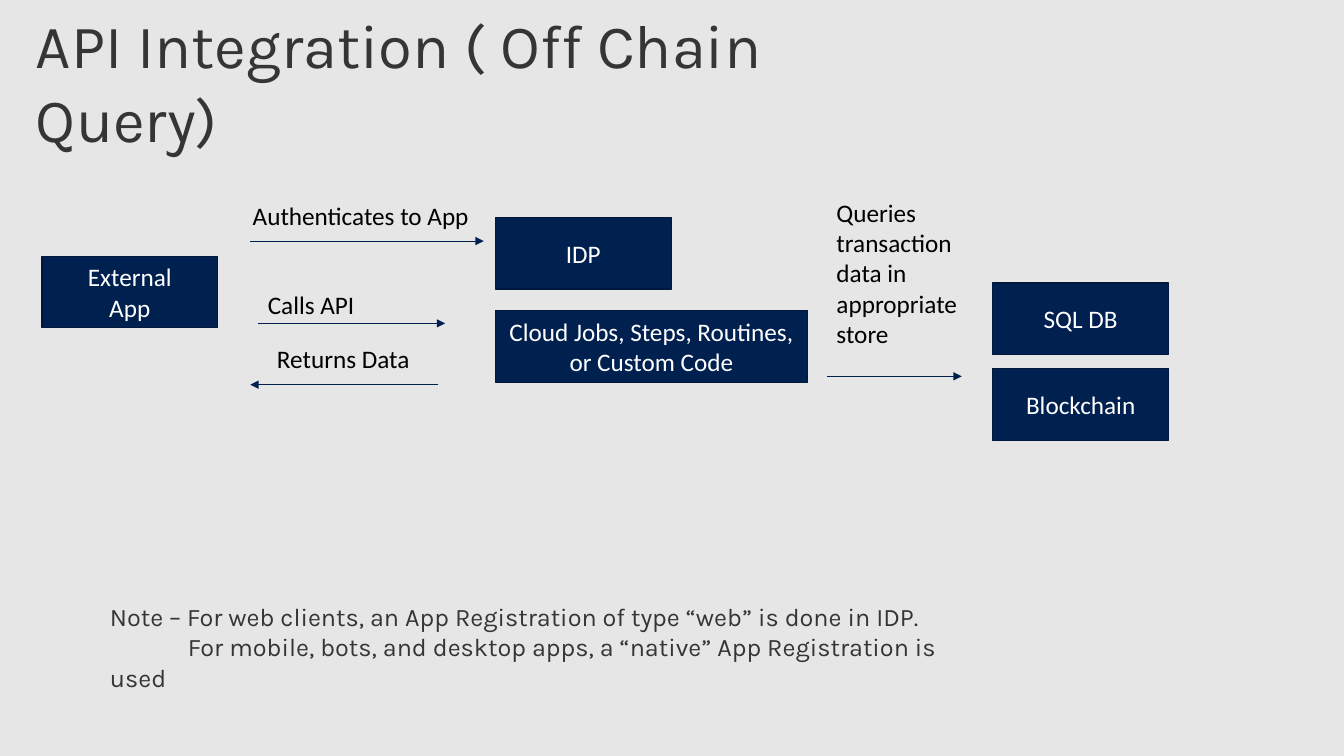
from dataclasses import dataclass

from lxml import etree
from pptx import Presentation
from pptx import util as u
from pptx.dml.color import RGBColor
from pptx.enum import shapes, text
from pptx.oxml import ns

COLUMNS, ROWS = 16, 9
SLIDE_WIDTH, SLIDE_HEIGHT = u.Inches(13.33), u.Inches(7.5)


@dataclass(frozen=True)
class Theme:
    """Colours, fonts and type sizes of the slide."""
    background: str = "E6E6E6"
    navy: str = "002050"
    border: str = "00183B"
    white: str = "FFFFFF"
    black: str = "000000"
    charcoal: str = "353535"
    label_font: str = "Calibri"
    heading_font: str = "Karla"
    body_size: float = 18
    title_size: float = 44
    border_width: float = 0.85
    arrow_width: float = 0.75


THEME = Theme()


def color(code):
    """Turn a hex code into a colour."""
    return RGBColor.from_string(code)


def across(columns):
    """Turn grid columns into a length."""
    return round(SLIDE_WIDTH * columns / COLUMNS)


def down(rows):
    """Turn grid rows into a length."""
    return round(SLIDE_HEIGHT * rows / ROWS)


def place(column, row, width, height):
    """Turn a grid area into left, top, width and height."""
    return across(column), down(row), across(width), down(height)


def write(frame, wording, font, size, code, alignment):
    """Fill a text frame and format every run."""
    frame.word_wrap = True
    frame.text = wording
    for paragraph in frame.paragraphs:
        paragraph.alignment = alignment
        for run in paragraph.runs:
            run.font.name = font
            run.font.size = u.Pt(size)
            run.font.color.rgb = color(code)


def add_box(slide, wording, column, row, width=2.09, height=0.85):
    """Draw a navy system box with centred text."""
    box = slide.shapes.add_shape(
        shapes.MSO_SHAPE.RECTANGLE, *place(column, row, width, height))
    box.shadow.inherit = False
    box.fill.solid()
    box.fill.fore_color.rgb = color(THEME.navy)
    box.line.color.rgb = color(THEME.border)
    box.line.width = u.Pt(THEME.border_width)
    box.text_frame.vertical_anchor = text.MSO_ANCHOR.MIDDLE
    write(box.text_frame, wording, THEME.label_font, THEME.body_size,
          THEME.white, text.PP_ALIGN.CENTER)


def add_text(slide, wording, area, font=THEME.label_font,
             size=THEME.body_size, code=THEME.black):
    """Add left-aligned text that grows with its content."""
    label = slide.shapes.add_textbox(*place(*area))
    write(label.text_frame, wording, font, size, code, text.PP_ALIGN.LEFT)
    label.text_frame.auto_size = text.MSO_AUTO_SIZE.SHAPE_TO_FIT_TEXT
    return label


def add_arrow(slide, start, end, row):
    """Draw a horizontal arrow from one column to another."""
    arrow = slide.shapes.add_connector(
        shapes.MSO_CONNECTOR.STRAIGHT,
        across(start), down(row), across(end), down(row))
    arrow.line.color.rgb = color(THEME.navy)
    arrow.line.width = u.Pt(THEME.arrow_width)
    etree.SubElement(arrow.line._get_or_add_ln(), ns.qn("a:tailEnd"),
                     type="triangle")
    etree.SubElement(arrow._element.spPr, ns.qn("a:effectLst"))


def add_note(slide):
    """Add the registration note with its second paragraph indented."""
    note = add_text(
        slide,
        "Note – For web clients, an App Registration of type “web” is done in IDP.\n"
        "For mobile, bots, and desktop apps, a “native” App Registration is used",
        (1.19, 7.1, 10.5, 0.85), THEME.heading_font, code=THEME.charcoal)
    properties = note.text_frame.paragraphs[1]._p.get_or_add_pPr()
    properties.set("marL", "0")
    properties.set("indent", str(across(0.93)))


def main():
    """Build and save the integration slide."""
    presentation = Presentation()
    presentation.slide_width = SLIDE_WIDTH
    presentation.slide_height = SLIDE_HEIGHT
    slide = presentation.slides.add_slide(presentation.slide_layouts[6])
    slide.background.fill.solid()
    slide.background.fill.fore_color.rgb = color(THEME.background)

    add_text(slide, "API Integration ( Off Chain Query)",
             (0.31, 0.02, 11.02, 1.01), THEME.heading_font,
             THEME.title_size, THEME.charcoal)

    add_box(slide, "External\nApp", 0.5, 3.05)
    add_box(slide, "IDP", 5.9, 2.59)
    add_box(slide, "Cloud Jobs, Steps, Routines, or Custom Code",
            5.9, 3.7, width=3.71)
    for index, store in enumerate(("SQL DB", "Blockchain")):
        add_box(slide, store, 11.82, 3.37 + 1.02 * index)

    steps = (
        ("Authenticates to App", (2.89, 2.32, 2.87, 0.49), (2.98, 5.76, 2.87)),
        ("Calls API", (3.07, 3.38, 1.31, 0.49), (3.07, 5.3, 3.85)),
        ("Returns Data", (3.18, 4.03, 1.86, 0.49), (5.22, 2.98, 4.58)),
        ("Queries transaction data in appropriate store",
         (9.84, 2.29, 2.09, 1.94), (9.84, 11.45, 4.48)),
    )
    for wording, area, route in steps:
        add_text(slide, wording, area)
        add_arrow(slide, *route)

    add_note(slide)
    presentation.save("out.pptx")


if __name__ == "__main__":
    main()
